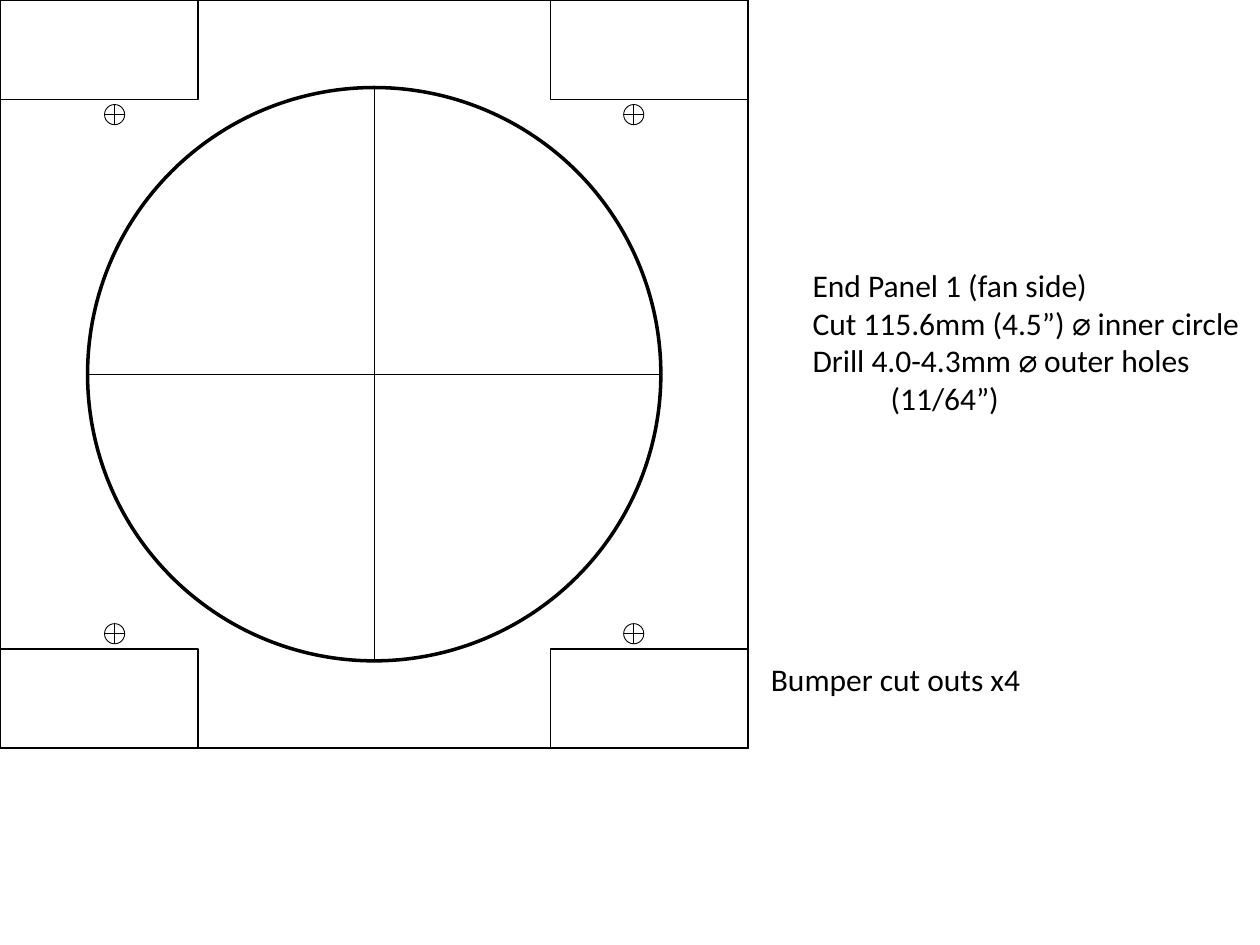
from itertools import product

from lxml import etree
from pptx import Presentation
from pptx.dml.color import RGBColor
from pptx.enum.shapes import MSO_CONNECTOR, MSO_SHAPE
from pptx.oxml.ns import qn
from pptx.util import Inches, Pt

RECTANGLE = MSO_SHAPE.RECTANGLE
OVAL = MSO_SHAPE.OVAL
STRAIGHT = MSO_CONNECTOR.STRAIGHT
BLACK = RGBColor(0x00, 0x00, 0x00)
FONT = "Calibri"
BLANK_LAYOUT = 6

PANEL_SIZE = 5.94
FAN_DIAMETER = 4.55
BUMPER_WIDTH, BUMPER_HEIGHT = 1.57, 0.79
HOLE_DIAMETER = 0.16
HOLE_INSET = 0.91


def add_outline(shapes, kind, left, top, width, height, weight):
    shape = shapes.add_shape(
        kind, Inches(left), Inches(top), Inches(width), Inches(height)
    )
    shape.shadow.inherit = False
    shape.fill.background()
    shape.line.color.rgb = BLACK
    shape.line.width = Pt(weight)


def add_line(shapes, start, end, weight):
    points = [Inches(value) for value in (*start, *end)]
    connector = shapes.add_connector(STRAIGHT, *points)
    connector.line.color.rgb = BLACK
    connector.line.width = Pt(weight)
    etree.SubElement(connector._element.spPr, qn("a:effectLst"))


def add_crossed_circle(shapes, center_x, center_y, diameter, circle_weight, cross_weight):
    radius = diameter / 2
    left, top = center_x - radius, center_y - radius
    right, bottom = center_x + radius, center_y + radius
    add_outline(shapes, OVAL, left, top, diameter, diameter, circle_weight)
    add_line(shapes, (center_x, top), (center_x, bottom), cross_weight)
    add_line(shapes, (left, center_y), (right, center_y), cross_weight)


def add_panel(slide, left, top, size):
    shapes = slide.shapes
    add_outline(shapes, RECTANGLE, left, top, size, size, 1)
    center = size / 2
    add_crossed_circle(shapes, left + center, top + center, FAN_DIAMETER, 2, 0.75)

    for x, y in product((0, size - BUMPER_WIDTH), (0, size - BUMPER_HEIGHT)):
        add_outline(
            shapes, RECTANGLE, left + x, top + y, BUMPER_WIDTH, BUMPER_HEIGHT, 1
        )

    holes = shapes.add_group_shape()
    for x, y in product((HOLE_INSET, size - HOLE_INSET), repeat=2):
        add_crossed_circle(holes.shapes, left + x, top + y, HOLE_DIAMETER, 0.5, 0.5)


def add_note(slide, left, top, width, height, lines):
    box = slide.shapes.add_textbox(
        Inches(left), Inches(top), Inches(width), Inches(height)
    )
    frame = box.text_frame
    frame.word_wrap = False
    for index, (text, indent) in enumerate(lines):
        paragraph = frame.paragraphs[0] if index == 0 else frame.add_paragraph()
        if indent:
            paragraph._p.get_or_add_pPr().set("marL", str(Inches(indent)))
        run = paragraph.add_run()
        run.text = text
        run.font.name = FONT
        run.font.size = Pt(18)
        run.font.color.rgb = BLACK


presentation = Presentation()
presentation.slide_width = Inches(10)
presentation.slide_height = Inches(7.5)
slide = presentation.slides.add_slide(presentation.slide_layouts[BLANK_LAYOUT])

add_panel(slide, 0, 0, PANEL_SIZE)
add_note(slide, 6.35, 2.06, 3.61, 1.62, [
    ("End Panel 1 (fan side)", 0),
    ("Cut 115.6mm (4.5”) ⌀ inner circle", 0),
    ("Drill 4.0-4.3mm ⌀ outer holes", 0),
    ("(11/64”)", 0.62),
])
add_note(slide, 6.02, 5.19, 2.2, 0.71, [("Bumper cut outs x4", 0)])

presentation.save("out.pptx")
